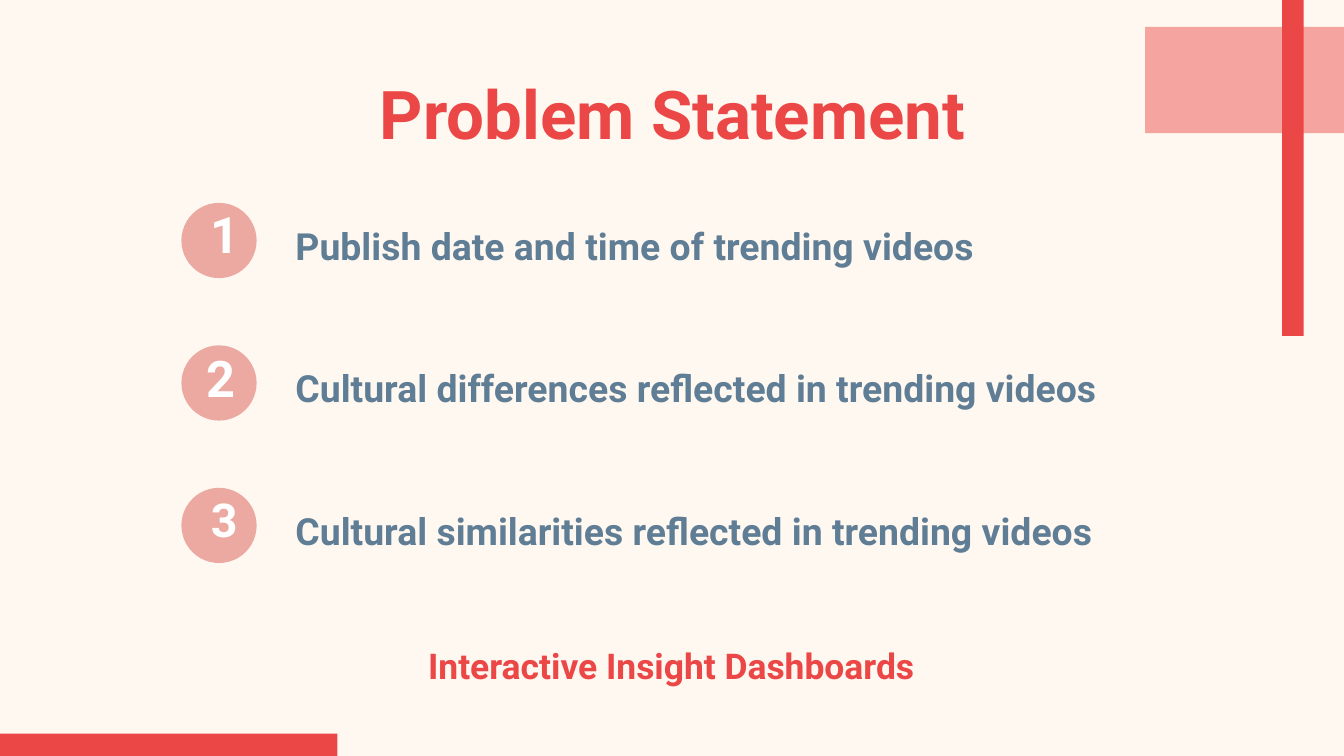
"""Builds the problem statement slide with three numbered questions."""
from dataclasses import dataclass

from lxml import etree
from pptx import Presentation
from pptx import util as u
from pptx.dml.color import RGBColor
from pptx.enum import shapes, text
from pptx.oxml.ns import qn


@dataclass(frozen=True)
class Theme:
    font: str = "Roboto"
    paper: str = "FFF8F0"
    accent: str = "EB4747"
    badge: str = "ECA9A2"
    body: str = "5F7D95"
    light: str = "FFFFFF"
    title_size: int = 36
    body_size: int = 20
    footer_size: int = 19


class Board:
    def __init__(self, slide, theme):
        self.slide = slide
        self.theme = theme
        fill = slide.background.fill
        fill.solid()
        fill.fore_color.rgb = RGBColor.from_string(theme.paper)

    def shape(self, kind, place, color, opacity=100, parent=None):
        holder = (parent or self.slide).shapes
        item = holder.add_shape(kind, *map(u.Inches, place))
        item.shadow.inherit = False
        item.line.fill.background()
        item.fill.solid()
        item.fill.fore_color.rgb = RGBColor.from_string(color)
        if opacity < 100:
            tint = item.fill._xPr.find(qn("a:solidFill"))[0]
            etree.SubElement(tint, qn("a:alpha"), val=str(opacity * 1000))

    def label(self, words, place, size, color, parent=None,
              align=text.PP_ALIGN.LEFT, anchor=text.MSO_ANCHOR.TOP):
        holder = (parent or self.slide).shapes
        frame = holder.add_textbox(*map(u.Inches, place)).text_frame
        inset = u.Inches(0.1)
        frame_format = {
            "word_wrap": True, "vertical_anchor": anchor,
            "margin_left": inset, "margin_right": inset,
            "margin_top": inset, "margin_bottom": inset,
        }
        for name, value in frame_format.items():
            setattr(frame, name, value)
        line = frame.paragraphs[0]
        line.alignment = align
        run = line.add_run()
        run.text = words
        font_format = {"name": self.theme.font, "size": u.Pt(size), "bold": True}
        for name, value in font_format.items():
            setattr(run.font, name, value)
        run.font.color.rgb = RGBColor.from_string(color)

    def badge(self, number, top, digit_place, digit_size):
        group = self.slide.shapes.add_group_shape()
        self.shape(shapes.MSO_SHAPE.OVAL, (1.35, top, 0.56, 0.56),
                   self.theme.badge, parent=group)
        self.label(str(number), digit_place, digit_size, self.theme.light, parent=group)


def main():
    deck = Presentation()
    deck.slide_width = u.Inches(10)
    deck.slide_height = deck.slide_width * 9 // 16
    theme = Theme()
    board = Board(deck.slides.add_slide(deck.slide_layouts[6]), theme)

    bars = [
        ((9.54, -0.01, 0.16, 2.51), 100),
        ((8.52, 0.2, 1.49, 0.79), 47),
        ((0, 5.46, 2.51, 0.17), 100),
    ]
    for place, opacity in bars:
        board.shape(shapes.MSO_SHAPE.RECTANGLE, place, theme.accent, opacity)

    center = text.PP_ALIGN.CENTER
    board.label("Problem Statement", (0.79, 0.59, 8.43, 0.5), theme.title_size,
                theme.accent, align=center, anchor=text.MSO_ANCHOR.MIDDLE)

    questions = [
        ("Publish date and time of trending videos", 5.54, (1.47, 1.41, 0.45, 0.66), 27),
        ("Cultural differences reflected in trending videos", 6.27,
         (1.44, 2.48, 0.49, 0.66), 27),
        ("Cultural similarities reflected in trending videos", 6.54,
         (1.47, 3.55, 0.51, 0.62), 25),
    ]
    first_top, pitch = 1.51, 1.06
    for index, (question, width, digit_place, digit_size) in enumerate(questions):
        top = first_top + index * pitch
        board.label(question, (2.1, top + 0.05, width, 0.54), theme.body_size, theme.body)
        board.badge(index + 1, top, digit_place, digit_size)

    board.label("Interactive Insight Dashboards", (2.52, 4.69, 4.95, 0.52),
                theme.footer_size, theme.accent, align=center)
    deck.save("out.pptx")


if __name__ == "__main__":
    main()
